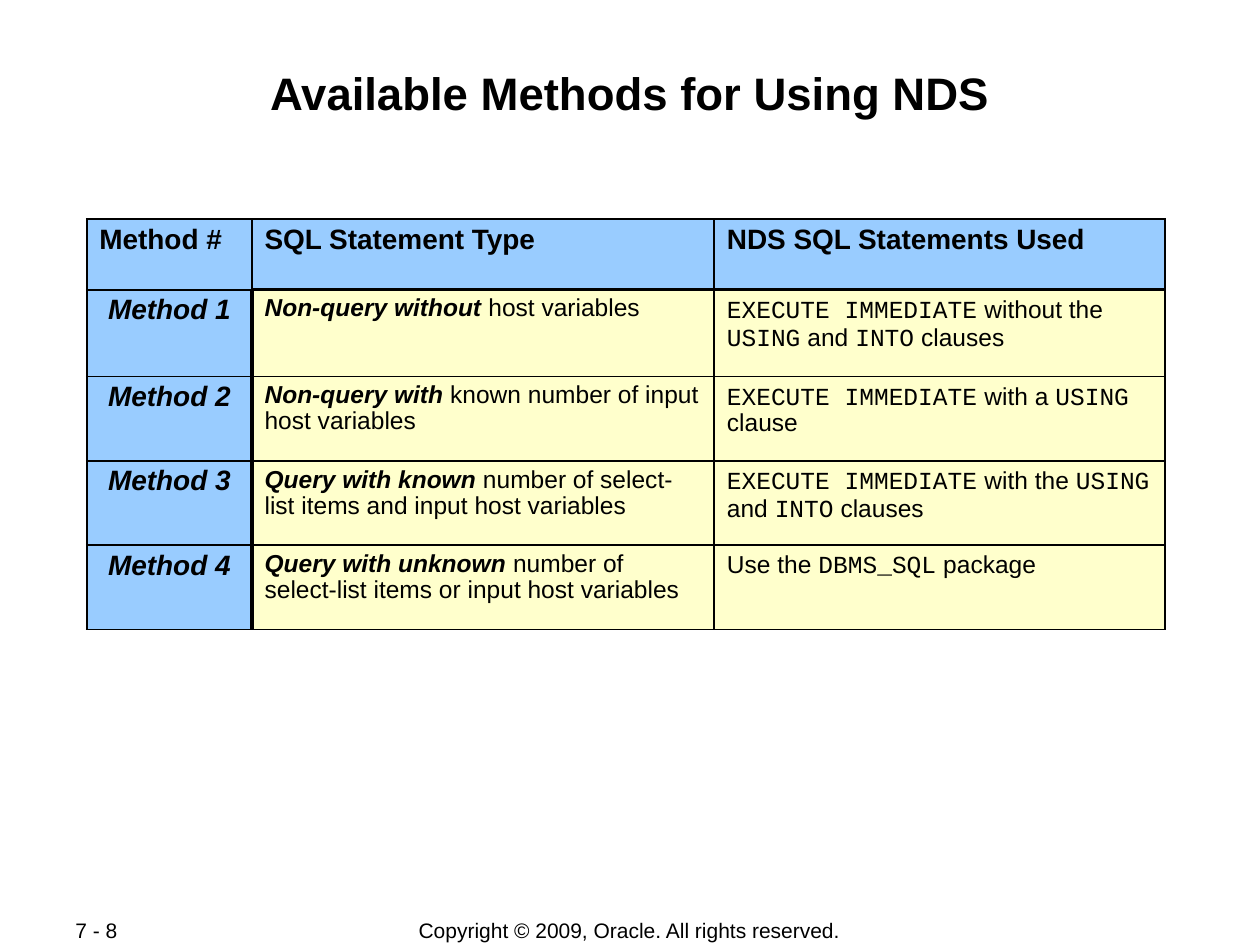
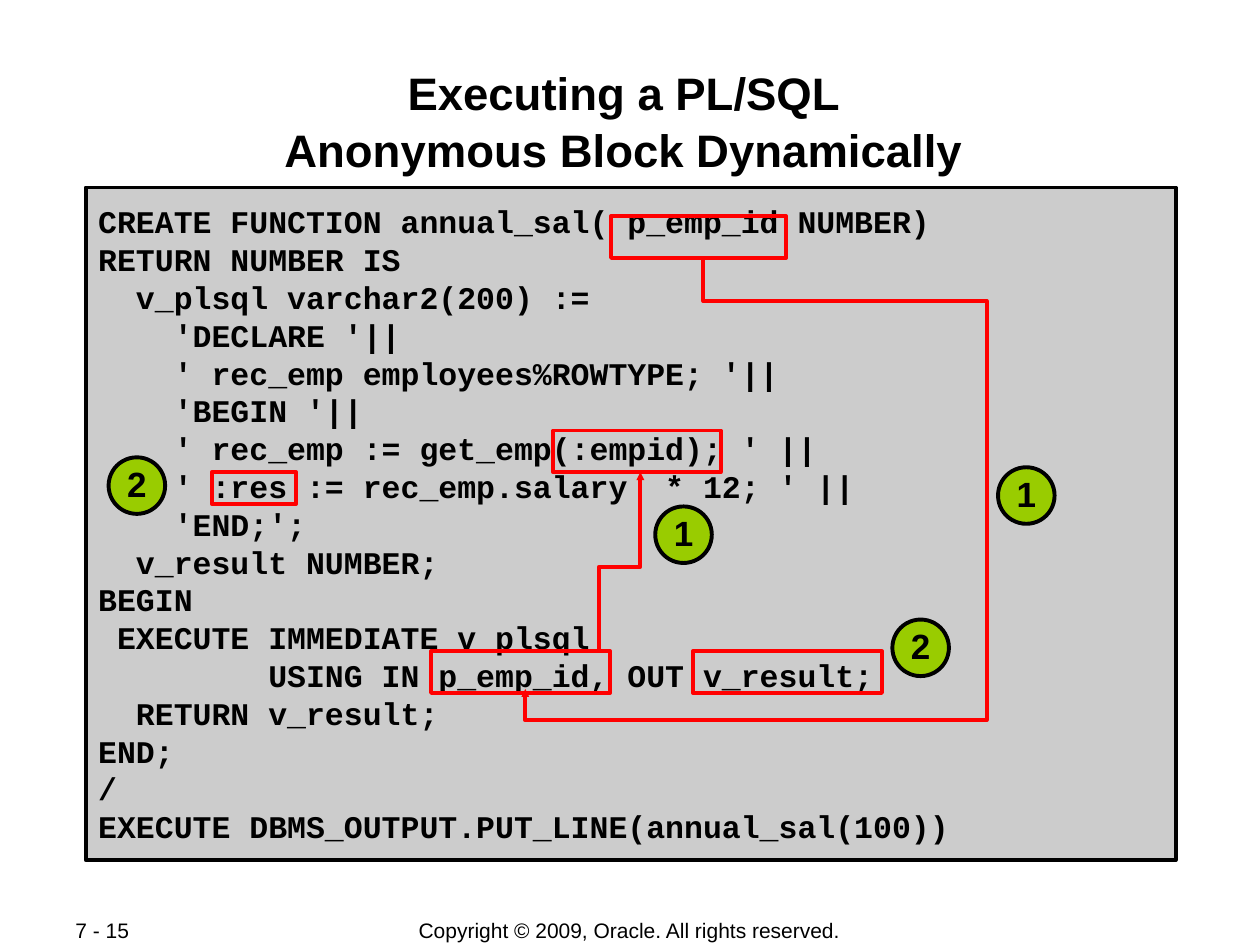
from pptx import Presentation
from pptx.dml.color import RGBColor
from pptx.enum.shapes import MSO_SHAPE
from pptx.enum.text import MSO_ANCHOR, PP_ALIGN
from pptx.oxml.ns import qn
from pptx.util import Cm, Pt
from lxml import etree

RECT, OVAL = MSO_SHAPE.RECTANGLE, MSO_SHAPE.OVAL
LEFT, CENTER, JUSTIFY = PP_ALIGN.LEFT, PP_ALIGN.CENTER, PP_ALIGN.JUSTIFY
TOP, MIDDLE = MSO_ANCHOR.TOP, MSO_ANCHOR.MIDDLE

SANS, MONO = "Arial", "Courier New"
BLACK, RED, GREEN, GREY = "000000", "FF0000", "99CC00", "CCCCCC"
BLUE, CREAM = "99CCFF", "FFFFCC"
LINE_WIDTH = 2.25
THIN, THICK = 1.08, 2.21

TITLE_BOX = (1.7, 1.22, 22, 2.44)
COPYRIGHT_BOX = (6.99, 18.49, 11.4, 0.53)
NUMBER_BOX = (1.27, 18.49, 2.69, 0.51)
TABLE_BOX = (1.75, 4.42, 21.74, 8.26)
CODE_BOX = (1.73, 3.78, 21.97, 13.56)

COLUMN_WIDTHS = (3.33, 9.32, 9.09)
ROW_HEIGHTS = (1.42, 1.75, 1.7, 1.7, 1.7)
HEADERS = ("Method #", "SQL Statement Type", "NDS SQL Statements Used")
METHODS = (
    ("Non-query without", " host variables",
     (("EXECUTE IMMEDIATE", MONO), (" without the ", SANS), ("USING", MONO),
      (" and ", SANS), ("INTO", MONO), (" clauses", SANS))),
    ("Non-query with", " known number of input host variables",
     (("EXECUTE IMMEDIATE", MONO), (" with a ", SANS), ("USING", MONO),
      (" clause", SANS))),
    ("Query with known", " number of select-list items and input host variables",
     (("EXECUTE IMMEDIATE", MONO), (" with the ", SANS), ("USING", MONO),
      (" and ", SANS), ("INTO", MONO), (" clauses", SANS))),
    ("Query with unknown", " number of select-list items or input host variables",
     (("Use the ", SANS), ("DBMS_SQL", MONO), (" package", SANS))),
)

CODE = """CREATE FUNCTION annual_sal( p_emp_id NUMBER)
RETURN NUMBER IS
  v_plsql varchar2(200) :=
    'DECLARE '||
    ' rec_emp employees%ROWTYPE; '||
    'BEGIN '||
    ' rec_emp := get_emp(:empid); ' ||
    ' :res := rec_emp.salary  * 12; ' ||
    'END;';
  v_result NUMBER;
BEGIN
 EXECUTE IMMEDIATE v_plsql
         USING IN p_emp_id, OUT v_result;
  RETURN v_result;
END;
/
EXECUTE DBMS_OUTPUT.PUT_LINE(annual_sal(100))"""

HIGHLIGHTS = (
    (6.96, 9.35, 3.61, 0.84),
    (9.42, 4.9, 3.38, 0.84),
    (10.59, 0.58, 3.53, 0.84),
    (2.54, 5.74, 1.7, 0.64),
    (12.24, 9.35, 3.81, 0.84),
)
ARROW_PATHS = (
    ((12.45, 1.42), (12.45, 2.29), (18.16, 2.29), (18.16, 10.74),
     (8.86, 10.74), (8.86, 10.11)),
    ((10.34, 9.35), (10.34, 7.65), (11.18, 7.65), (11.18, 5.74)),
)
BADGE_SIZE = 1.14
BADGES = (("1", 18.39, 5.64), ("1", 11.48, 6.43),
          ("2", 16.26, 8.71), ("2", 0.46, 5.44))


def color(value):
    """Turn a hex string into a colour."""
    return RGBColor.from_string(value)


def set_font(font, size, name=SANS, bold=False, italic=False):
    """Set the face, size and style of a font in black."""
    font.name, font.size = name, Pt(size)
    font.bold, font.italic = bold, italic
    font.color.rgb = color(BLACK)


def write(tf, text, size, name=SANS, bold=False, align=LEFT, anchor=MIDDLE,
          margins=(0.25, 0.13), spacing=1.0, wrap=True):
    """Fill a text frame with one paragraph per line of text."""
    tf.word_wrap, tf.vertical_anchor = wrap, anchor
    tf.margin_left = tf.margin_right = Cm(margins[0])
    tf.margin_top = tf.margin_bottom = Cm(margins[1])
    for i, line in enumerate(text.split("\n")):
        p = tf.add_paragraph() if i else tf.paragraphs[0]
        p.text = line
        p.alignment, p.line_spacing = align, spacing
        set_font(p.font, size, name, bold)


def add_text(slide, box, text, size, **style):
    """Add a text box."""
    sp = slide.shapes.add_textbox(*map(Cm, box))
    write(sp.text_frame, text, size, **style)


def set_look(sp, line, fill=None):
    """Outline a shape and fill it or leave it open."""
    sp.shadow.inherit = False
    sp.line.color.rgb, sp.line.width = color(line), Pt(LINE_WIDTH)
    if fill:
        sp.fill.solid()
        sp.fill.fore_color.rgb = color(fill)
    else:
        sp.fill.background()


def add_box(slide, kind, box, line, fill=None):
    """Add an outlined preset shape."""
    sp = slide.shapes.add_shape(kind, *map(Cm, box))
    set_look(sp, line, fill)
    return sp


def add_arrow(slide, points):
    """Add a bent red line that ends in an arrowhead."""
    start, *rest = [(Cm(x), Cm(y)) for x, y in points]
    builder = slide.shapes.build_freeform(*start, scale=1.0)
    builder.add_line_segments(rest, close=False)
    sp = builder.convert_to_shape()
    set_look(sp, RED)
    etree.SubElement(sp.line._get_or_add_ln(), qn("a:tailEnd"),
                     type="triangle", w="sm", len="sm")


def set_cell(cell, fill, **borders):
    """Draw the four borders of a cell and fill it."""
    tc_pr = cell._tc.get_or_add_tcPr()
    for side in "LRTB":
        ln = etree.SubElement(tc_pr, qn(f"a:ln{side}"),
                              w=str(Pt(borders.get(side, THIN))))
        solid = etree.SubElement(ln, qn("a:solidFill"))
        etree.SubElement(solid, qn("a:srgbClr"), val=BLACK)
    cell.fill.solid()
    cell.fill.fore_color.rgb = color(fill)


def write_cell(cell, parts, size, align=LEFT):
    """Write runs of (text, face, emphasis) into a cell."""
    p = cell.text_frame.paragraphs[0]
    p.alignment, p.line_spacing = align, 0.95
    p.font.size = Pt(size)
    for text, name, bold, italic in parts:
        r = p.add_run()
        r.text = text
        set_font(r.font, size, name, bold, italic)


def add_methods_table(slide, box):
    """Add the table that matches methods to statements."""
    frame = slide.shapes.add_table(len(ROW_HEIGHTS), len(COLUMN_WIDTHS), *map(Cm, box))
    table = frame.table
    table.first_row = table.horz_banding = False
    for column, width in zip(table.columns, COLUMN_WIDTHS):
        column.width = Cm(width)
    for row, height in zip(table.rows, ROW_HEIGHTS):
        row.height = Cm(height)
    for j, header in enumerate(HEADERS):
        cell = table.cell(0, j)
        set_cell(cell, BLUE, B=THICK if j else THIN)
        write_cell(cell, [(header, SANS, True, False)], 16)
    for i, (kind, detail, statements) in enumerate(METHODS, 1):
        method, statement_type, used = (table.cell(i, j) for j in range(3))
        top = THICK if i == 1 else THIN
        set_cell(method, BLUE, R=THICK)
        set_cell(statement_type, CREAM, L=THICK, T=top)
        set_cell(used, CREAM, T=top)
        write_cell(method, [(f"Method {i}", SANS, True, True)], 16, CENTER)
        write_cell(statement_type, [(kind, SANS, True, True),
                                    (detail, SANS, False, False)], 14)
        write_cell(used, [(text, name, False, False) for text, name in statements], 14)


def add_code_panel(slide, box):
    """Add the code listing with its highlights, arrows and badges."""
    left, top = box[:2]
    panel = add_box(slide, RECT, box, BLACK, GREY)
    write(panel.text_frame, CODE, 18, name=MONO, bold=True, margins=(0.25, 0.03))
    for x, y, width, height in HIGHLIGHTS:
        add_box(slide, RECT, (left + x, top + y, width, height), RED)
    for points in ARROW_PATHS:
        add_arrow(slide, [(left + x, top + y) for x, y in points])
    for number, x, y in BADGES:
        badge = add_box(slide, OVAL, (left + x, top + y, BADGE_SIZE, BADGE_SIZE),
                        BLACK, GREEN)
        write(badge.text_frame, number, 20, bold=True, align=CENTER,
              margins=(0.13, 0.13), spacing=0.95, wrap=False)


def add_slide(prs, number, title):
    """Add a slide with its footer and title."""
    slide = prs.slides.add_slide(prs.slide_layouts[6])
    add_text(slide, COPYRIGHT_BOX, "Copyright © 2009, Oracle. All rights reserved.",
             12, align=CENTER, wrap=False)
    add_text(slide, NUMBER_BOX, f"7 - {number}", 12, align=JUSTIFY, wrap=False)
    add_text(slide, TITLE_BOX, title, 26, bold=True, align=CENTER, anchor=TOP,
             margins=(0.03, 0.03), spacing=1.05)
    return slide


def main():
    """Build and save the slides."""
    prs = Presentation()
    prs.slide_width, prs.slide_height = Cm(25.4), Cm(19.05)
    add_methods_table(add_slide(prs, 8, "Available Methods for Using NDS"), TABLE_BOX)
    title = "Executing a PL/SQL \vAnonymous Block Dynamically "
    add_code_panel(add_slide(prs, 15, title), CODE_BOX)
    prs.save("out.pptx")


if __name__ == "__main__":
    main()
